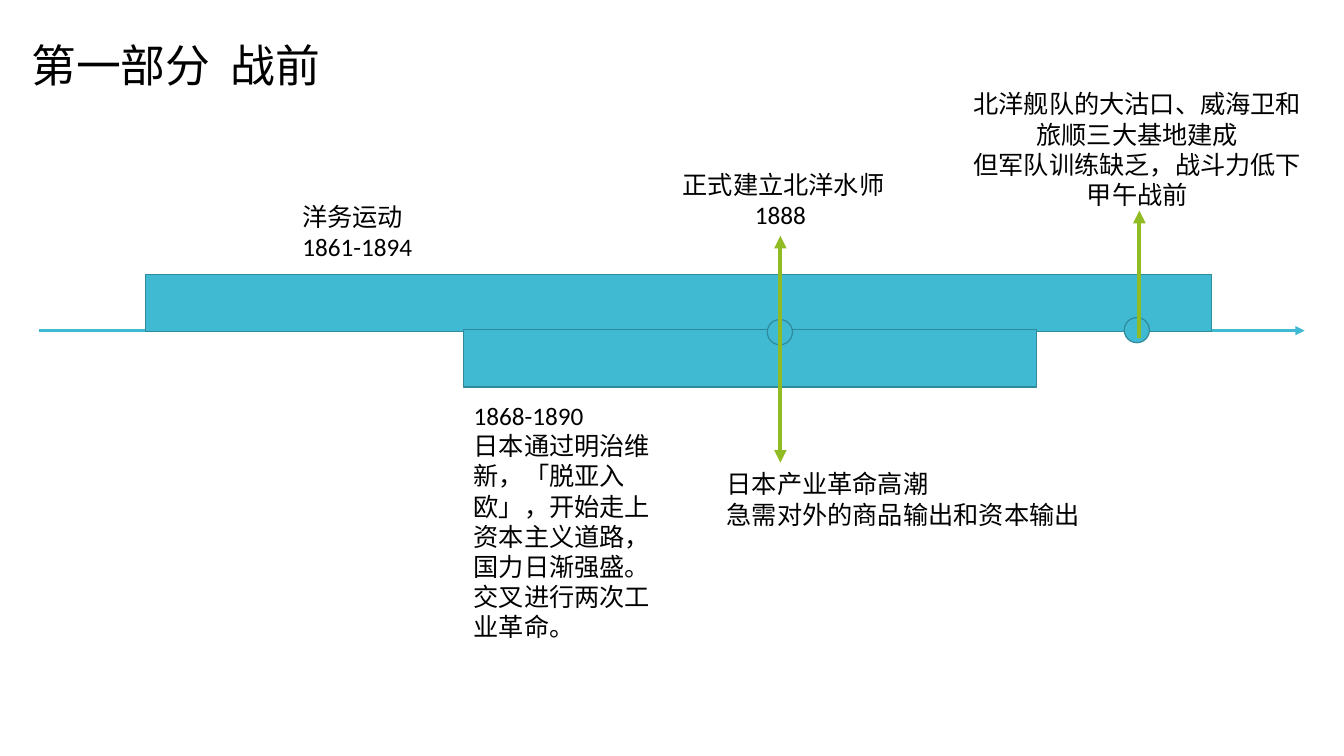
from dataclasses import dataclass

from lxml.etree import SubElement
from pptx import Presentation
from pptx.dml.color import RGBColor
from pptx.enum.shapes import MSO_CONNECTOR, MSO_SHAPE
from pptx.enum.text import MSO_ANCHOR, PP_ALIGN
from pptx.oxml.ns import qn
from pptx.shapes.base import BaseShape
from pptx.slide import Slide
from pptx.text.text import TextFrame
from pptx.util import Inches, Pt

TEAL, DARK_TEAL, GREEN, BLACK = "40BAD2", "2F8A9B", "90BB23", "000000"
LEFT, CENTER, RIGHT = PP_ALIGN.LEFT, PP_ALIGN.CENTER, PP_ALIGN.RIGHT
BAR_HEIGHT = 0.57
DOT_SIZE = 0.25


@dataclass
class Mark:
    """A period bar or event dot on the time axis."""
    kind: MSO_SHAPE
    left: float
    top: float
    width: float
    height: float


@dataclass
class Arrow:
    start: tuple[float, float]
    end: tuple[float, float]
    color: str = GREEN
    width: float = 3


@dataclass
class Label:
    left: float
    top: float
    width: float
    height: float
    lines: list[str]
    aligns: list[PP_ALIGN]


AXIS = Arrow((0.39, 3.28), (12.94, 3.28), TEAL, 2.25)
MARKS = [
    Mark(MSO_SHAPE.RECTANGLE, 1.44, 2.72, 10.58, BAR_HEIGHT),
    Mark(MSO_SHAPE.OVAL, 11.15, 3.15, DOT_SIZE, DOT_SIZE),
    Mark(MSO_SHAPE.RECTANGLE, 4.6, 3.27, 5.68, BAR_HEIGHT),
    Mark(MSO_SHAPE.OVAL, 7.61, 3.17, DOT_SIZE, DOT_SIZE),
]
EVENT_ARROWS = [
    Arrow((7.74, 3.29), (7.74, 4.59)),
    Arrow((7.74, 3.29), (7.74, 2.34)),
    Arrow((11.3, 3.35), (11.3, 2.09)),
]
LABELS = [
    Label(2.9, 1.95, 1.34, 0.71, ["洋务运动", "1861-1894"], [LEFT] * 2),
    Label(6.61, 1.63, 2.26, 0.71, ["正式建立北洋水师", "1888"], [RIGHT, CENTER]),
    Label(9.49, 0.83, 3.58, 1.31,
          ["北洋舰队的大沽口、威海卫和旅顺三大基地建成",
           "但军队训练缺乏，战斗力低下", "甲午战前"], [CENTER] * 3),
    Label(4.6, 3.92, 1.99, 2.52,
          ["1868-1890",
           "日本通过明治维新，「脱亚入欧」，开始走上资本主义道路，国力日渐强盛。",
           "交叉进行两次工业革命。"], [LEFT] * 3),
    Label(7.11, 4.6, 3.77, 0.71,
          ["日本产业革命高潮", "急需对外的商品输出和资本输出"], [LEFT] * 2),
]


def rgb(color: str) -> RGBColor:
    return RGBColor.from_string(color)


def set_attrs(target: object, values: dict) -> None:
    for name, value in values.items():
        setattr(target, name, value)


def write(tf: TextFrame, lines: list[str], aligns: list[PP_ALIGN], size: float) -> None:
    set_attrs(tf, {"word_wrap": True, "vertical_anchor": MSO_ANCHOR.TOP})
    for i, (line, align) in enumerate(zip(lines, aligns)):
        p = tf.add_paragraph() if i else tf.paragraphs[0]
        p.alignment = align
        r = p.add_run()
        r.text = line
        set_attrs(r.font, {"name": "Calibri", "size": Pt(size)})
        r.font.color.rgb = rgb(BLACK)


def add_title(s: Slide, text: str) -> None:
    title: BaseShape = s.shapes.title
    set_attrs(title, {"left": Inches(0.21), "top": Inches(0.32),
                      "width": Inches(6.71), "height": Inches(0.64)})
    write(title.text_frame, [text], [LEFT], 32)


def add_arrow(s: Slide, arrow: Arrow) -> None:
    x1, y1, x2, y2 = map(Inches, (*arrow.start, *arrow.end))
    sp = s.shapes.add_connector(MSO_CONNECTOR.STRAIGHT, x1, y1, x2, y2)
    sp.line.color.rgb = rgb(arrow.color)
    sp.line.width = Pt(arrow.width)
    SubElement(sp.line._get_or_add_ln(), qn("a:tailEnd"), type="triangle")
    SubElement(sp._element.spPr, qn("a:effectLst"))


def add_mark(s: Slide, mark: Mark) -> None:
    box = map(Inches, (mark.left, mark.top, mark.width, mark.height))
    sp = s.shapes.add_shape(mark.kind, *box)
    sp.shadow.inherit = False
    sp.fill.solid()
    sp.fill.fore_color.rgb = rgb(TEAL)
    sp.line.color.rgb = rgb(DARK_TEAL)
    sp.line.width = Pt(0.85)


def add_label(s: Slide, label: Label) -> None:
    box = map(Inches, (label.left, label.top, label.width, label.height))
    sp = s.shapes.add_textbox(*box)
    write(sp.text_frame, label.lines, label.aligns, 18)


def main() -> None:
    prs = Presentation()
    set_attrs(prs, {"slide_width": Inches(13.33), "slide_height": Inches(7.5)})
    s = prs.slides.add_slide(prs.slide_layouts.get_by_name("Title Only"))
    add_title(s, "第一部分  战前")
    add_arrow(s, AXIS)
    for mark in MARKS:
        add_mark(s, mark)
    for arrow in EVENT_ARROWS:
        add_arrow(s, arrow)
    for label in LABELS:
        add_label(s, label)
    prs.save("out.pptx")


if __name__ == "__main__":
    main()
